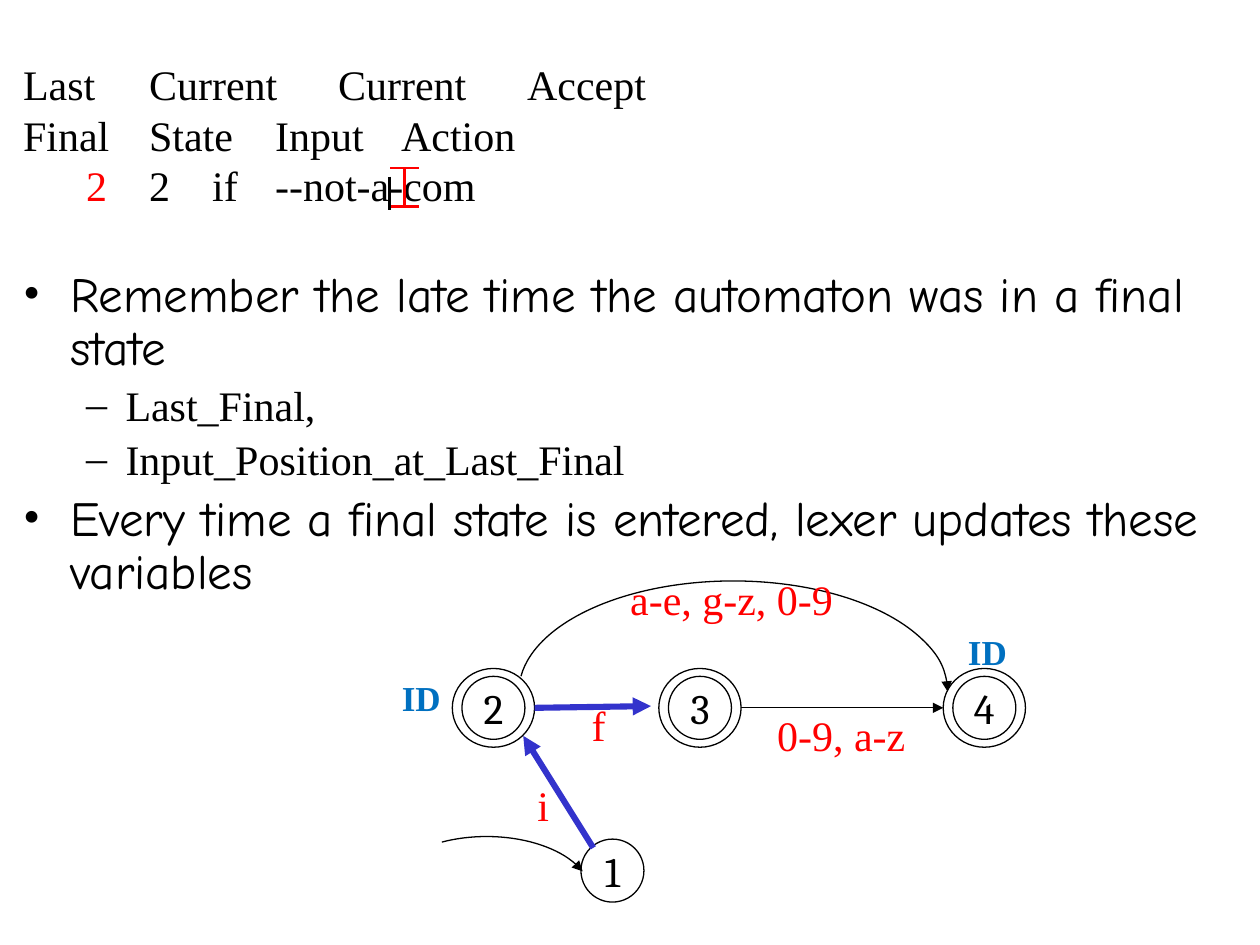
import pptx
import pptx.util
import pptx.dml.color
import pptx.enum.shapes
import pptx.enum.text
import pptx.oxml.ns
from lxml import etree

Pt = pptx.util.Pt
qn = pptx.oxml.ns.qn
MSO = pptx.enum.shapes.MSO_SHAPE
COLORS = {"black": "000000", "white": "FFFFFF", "red": "FF0000",
          "blue": "3333CC", "tag": "0070C0"}
SERIF, HAND, DIGIT = "Times New Roman", "Comic Neue", "Cambria"


def rgb(name):
    return pptx.dml.color.RGBColor.from_string(COLORS[name])


def add_run(p, text, size, font=SERIF, color="black", bold=False):
    r = p.add_run()
    r.text = text
    r.font.size = Pt(size)
    r.font.name = font
    r.font.bold = bold
    r.font.color.rgb = rgb(color)


def style_line(sp, color, width, arrow=False):
    sp.line.color.rgb = rgb(color)
    sp.line.width = Pt(width)
    if arrow:
        etree.SubElement(sp.line._get_or_add_ln(), qn("a:tailEnd"), type="triangle")


def add_line(s, start, end, color="black", width=0.75, arrow=False):
    sp = s.shapes.add_connector(pptx.enum.shapes.MSO_CONNECTOR.STRAIGHT,
                                *[Pt(v) for v in start + end])
    style_line(sp, color, width, arrow)
    etree.SubElement(sp._element.spPr, qn("a:effectLst"))


def add_outline(s, kind, box, arrow=False):
    sp = s.shapes.add_shape(kind, *[Pt(v) for v in box])
    sp.shadow.inherit = False
    sp.fill.background()
    style_line(sp, "black", 0.75, arrow)
    return sp


def add_arc(s, box, start, end):
    sp = add_outline(s, MSO.ARC, box, arrow=True)
    sp.adjustments[0] = start
    sp.adjustments[1] = end


def add_label(s, text, box, size=24, color="red", bold=False):
    tf = s.shapes.add_textbox(*[Pt(v) for v in box]).text_frame
    tf.word_wrap = False
    add_run(tf.paragraphs[0], text, size, color=color, bold=bold)


def add_state(s, name, cx, cy, final=True):
    sp = add_outline(s, MSO.FLOWCHART_CONNECTOR, (cx - 18, cy - 18, 36, 36))
    tf = sp.text_frame
    tf.word_wrap = False
    tf.margin_left = tf.margin_right = tf.margin_top = tf.margin_bottom = 0
    tf.vertical_anchor = pptx.enum.text.MSO_ANCHOR.MIDDLE
    p = tf.paragraphs[0]
    p.alignment = pptx.enum.text.PP_ALIGN.CENTER
    add_run(p, name, 24, DIGIT)
    if final:
        add_outline(s, MSO.FLOWCHART_CONNECTOR, (cx - 23.5, cy - 22.5, 47, 45))


def format_paragraph(p, before, line, margin=0, hanging=0, bullet=None, tabs=()):
    pPr = p._p.get_or_add_pPr()
    pPr.set("marL", str(Pt(margin)))
    pPr.set("indent", str(-Pt(hanging)))
    if bullet:
        etree.SubElement(pPr, qn("a:buFont"), typeface=SERIF)
        etree.SubElement(pPr, qn("a:buChar"), char=bullet)
    else:
        etree.SubElement(pPr, qn("a:buNone"))
    if tabs:
        tab_list = etree.SubElement(pPr, qn("a:tabLst"))
        for pos, align in tabs:
            etree.SubElement(tab_list, qn("a:tab"), pos=str(Pt(pos)), algn=align)
    p.space_before = Pt(before)
    p.line_spacing = Pt(line)


def add_body(s, box):
    body = s.placeholders[1]
    body.left, body.top, body.width, body.height = [Pt(v) for v in box]
    body.fill.solid()
    body.fill.fore_color.rgb = rgb("white")
    tf = body.text_frame
    tf.word_wrap = True
    tf.auto_size = pptx.enum.text.MSO_AUTO_SIZE.NONE
    tf.vertical_anchor = pptx.enum.text.MSO_ANCHOR.TOP

    head_tabs = [(114, "ctr"), (223, "ctr"), (407, "ctr")]
    value_tabs = [(30, "ctr"), (119.5, "ctr"), (210, "l"), (237, "l")]
    rows = [
        ([("Last\tCurrent\tCurrent\tAccept", "black")], head_tabs),
        ([("Final\tState\tInput\tAction", "black")], head_tabs),
        ([("\t2", "red"), ("\t2\tif\t--not-a-com", "black")], value_tabs),
    ]
    for i, (runs, tabs) in enumerate(rows):
        p = tf.add_paragraph() if i else tf.paragraphs[0]
        format_paragraph(p, 0, 28.8, tabs=tabs)
        for text, color in runs:
            add_run(p, text, 24, color=color)

    points = [
        (0, 34, "Remember the late time the automaton was in a final state"),
        (1, 2, "Last_Final,"),
        (1, 2, "Input_Position_at_Last_Final"),
        (0, 5.5, "Every time a final state is entered, lexer updates these variables"),
    ]
    for level, before, text in points:
        p = tf.add_paragraph()
        p.level = level
        if level:
            format_paragraph(p, before, 28.8, 58.5, 22.5, "–")
            add_run(p, text, 24)
        else:
            format_paragraph(p, before, 30.4, 27, 27, "•")
            add_run(p, text, 28, HAND)


def add_cursor(s, x, y, w, h):
    add_line(s, (x + w / 2, y), (x + w / 2, y + h), "red", 1.5)
    for bar_y in (y, y + h):
        add_line(s, (x, bar_y), (x + w, bar_y), "red", 1.5)
    add_line(s, (x - 0.5, y + 5), (x - 0.5, y + 24), "black", 1.5)


def add_automaton(s, x, y):
    add_state(s, "1", x + 128, y + 173.5, final=False)
    for name, dx in (("2", 60), ("3", 178), ("4", 340.5)):
        add_state(s, name, x + dx, y + 80.5)

    add_line(s, (x + 117, y + 160.5), (x + 77, y + 96.5), "blue", 3.5, True)
    add_line(s, (x + 83.5, y + 80.5), (x + 150, y + 79.5), "blue", 3.5, True)
    add_line(s, (x + 201.5, y + 80.5), (x + 317, y + 80.5), arrow=True)
    add_arc(s, (x + 74.5, y + 8, 245, 126.5), 110.49, 0)
    add_arc(s, (x - 4.5, y + 154, 121, 68.5), 138.38, 207.23)

    for text, dx, dy, w in (("i", 78, 118, 21), ("f", 109, 72, 22),
                            ("0-9, a-z", 215, 78, 89),
                            ("a-e, g-z, 0-9", 131, 0, 132)):
        add_label(s, text, (x + dx, y + dy, w, 36))
    for dx, dy in ((0.5, 59), (324, 32.5)):
        add_label(s, "ID", (x + dx, y + dy, 37, 32), 20, "tag", True)


def main():
    prs = pptx.Presentation()
    prs.slide_width, prs.slide_height = Pt(720), Pt(540)
    s = prs.slides.add_slide(prs.slide_layouts[1])
    title = s.shapes.title._element
    title.getparent().remove(title)
    add_body(s, (6, 30, 696, 468))
    add_cursor(s, 223, 96, 16.5, 22)
    add_automaton(s, 222, 324)
    prs.save("out.pptx")


if __name__ == "__main__":
    main()
